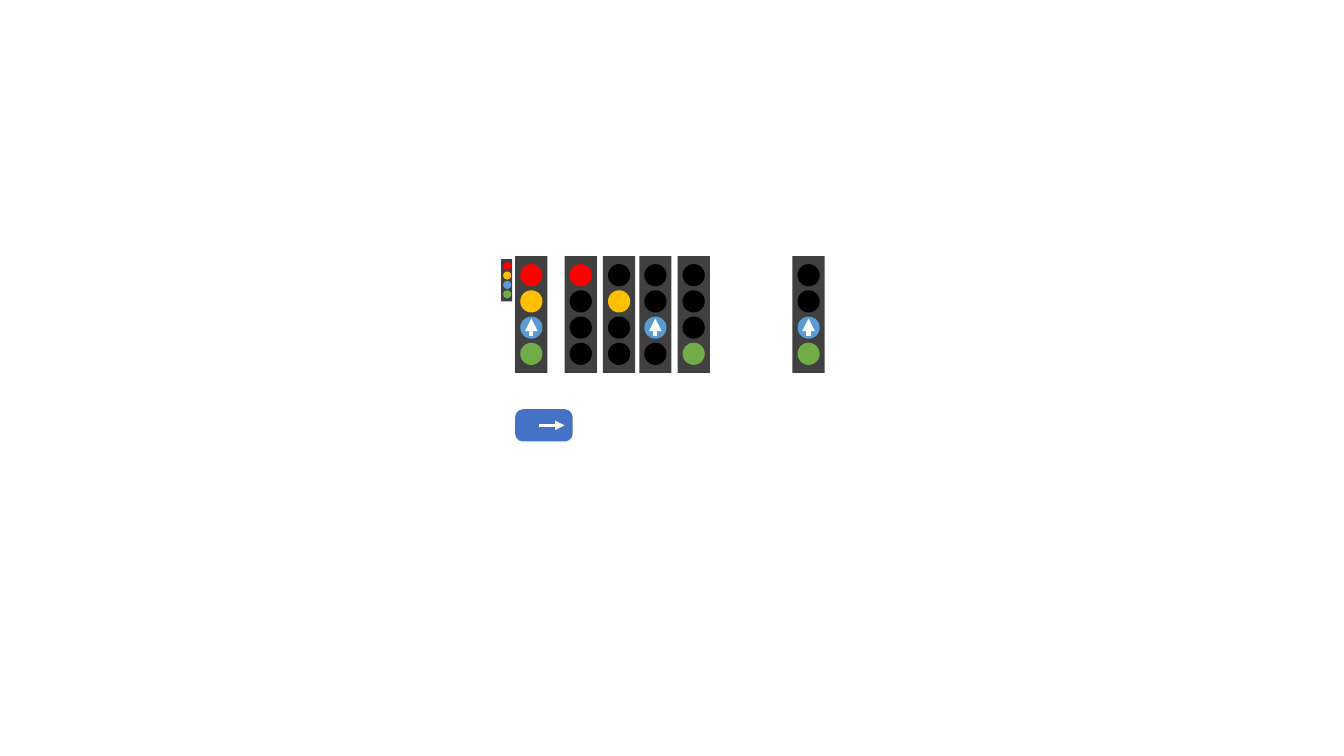
"""Build a slide of traffic lights in several states and a button with an arrow."""
from pptx import Presentation
from pptx.dml.color import RGBColor
from pptx.enum.shapes import MSO_CONNECTOR, MSO_SHAPE
from pptx.oxml.ns import qn
from pptx.util import Inches, Pt
from lxml.etree import SubElement

HUES = {"case": "404040", "off": "000000", "red": "FF0000", "amber": "FFC000",
        "blue": "5B9BD5", "green": "70AD47", "button": "4472C4", "arrow": "FFFFFF"}
LAMPS = ["red", "amber", "blue", "green"]
TOP = 2.54
BIG = {"case": (0.32, 1.16), "inset": (0.05, 0.08), "lamp": 0.22, "step": 0.26}
TINY = {"case": (0.11, 0.42), "inset": (0.02, 0.03), "lamp": 0.08, "step": 0.28 / 3}
LIGHTS = [
    (6.72, TOP, BIG, ["green"], False),
    (4.97, 2.57, TINY, LAMPS, False),
    (5.11, TOP, BIG, LAMPS, True),
    (5.60, TOP, BIG, ["red"], False),
    (5.98, TOP, BIG, ["amber"], False),
    (6.34, TOP, BIG, ["blue"], True),
    (7.86, TOP, BIG, ["blue", "green"], True),
]


def add_shape(shapes, kind, x, y, wide, high, hue):
    shape = shapes.add_shape(kind, Inches(x), Inches(y), Inches(wide), Inches(high))
    shape.shadow.inherit = False
    shape.fill.solid()
    shape.fill.fore_color.rgb = RGBColor.from_string(HUES[hue])
    shape.line.fill.background()
    return shape


def add_arrow(shapes, x1, y1, x2, y2, width):
    arrow = shapes.add_connector(MSO_CONNECTOR.STRAIGHT, Inches(x1), Inches(y1),
                                 Inches(x2), Inches(y2))
    arrow.line.color.rgb = RGBColor.from_string(HUES["arrow"])
    arrow.line.width = Pt(width)
    SubElement(arrow.line._get_or_add_ln(), qn("a:tailEnd"), type="triangle")
    SubElement(arrow._element.spPr, qn("a:effectLst"))


deck = Presentation()
deck.slide_width, deck.slide_height = Inches(13.33), Inches(7.5)
slide = deck.slides.add_slide(deck.slide_layouts[6])

for left, top, size, lit, arrow in LIGHTS:
    light = slide.shapes.add_group_shape().shapes
    wide, high = size["case"]
    dx, dy = size["inset"]
    lamp = size["lamp"]
    add_shape(light, MSO_SHAPE.RECTANGLE, left, top, wide, high, "case")
    for row, hue in enumerate(LAMPS):
        add_shape(light, MSO_SHAPE.OVAL, left + dx, top + dy + row * size["step"],
                  lamp, lamp, hue if hue in lit else "off")
    if arrow:
        mid = left + wide / 2
        add_arrow(light, mid, top + 0.79, mid, top + 0.62, 3)

button = add_shape(slide.shapes, MSO_SHAPE.ROUNDED_RECTANGLE, 5.11, 4.06, 0.57, 0.32, "button")
button.adjustments[0] = 0.24
add_arrow(slide.shapes, 5.35, 4.22, 5.6, 4.22, 2.25)

deck.save("out.pptx")
